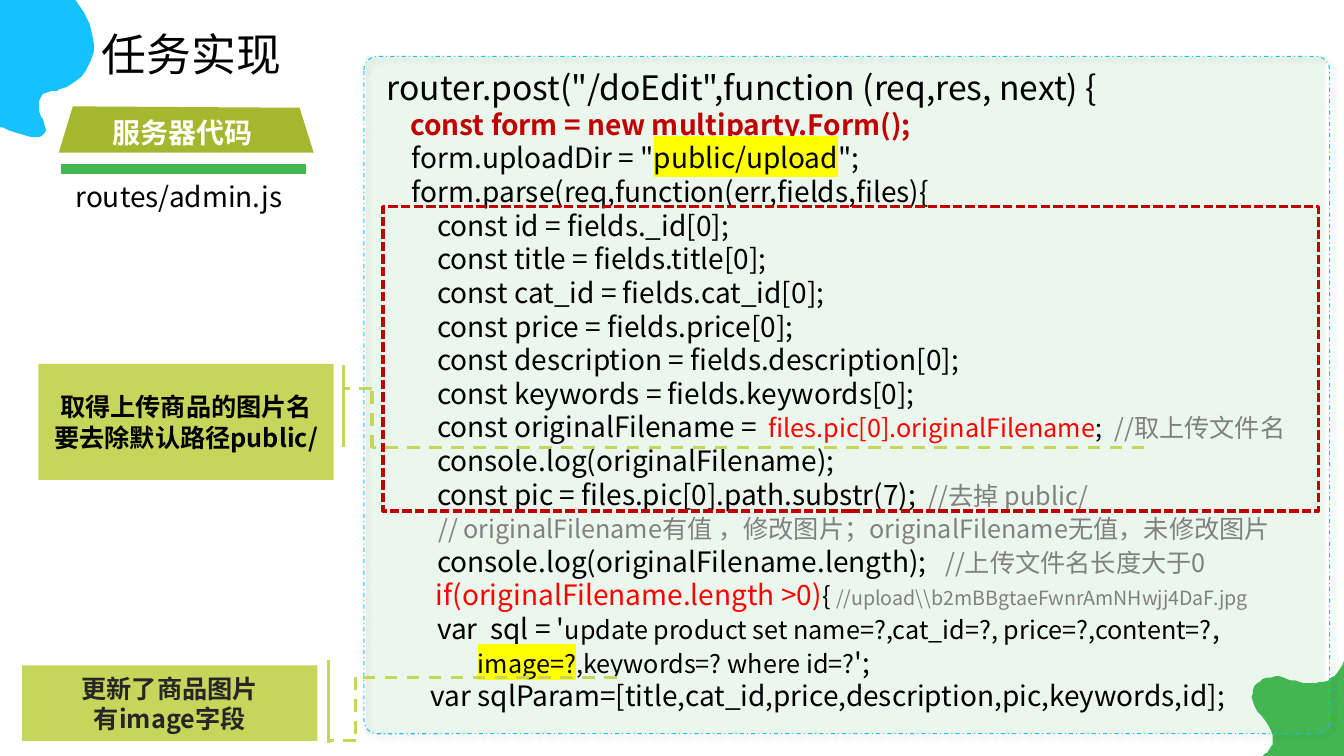
from dataclasses import dataclass

from lxml import etree
from pptx import Presentation
from pptx.dml.color import RGBColor
from pptx.enum.dml import MSO_LINE
from pptx.enum.shapes import MSO_CONNECTOR, MSO_SHAPE
from pptx.enum.text import MSO_ANCHOR, MSO_AUTO_SIZE, PP_ALIGN
from pptx.oxml.ns import qn
from pptx.util import Pt

RECT, ROUND = MSO_SHAPE.RECTANGLE, MSO_SHAPE.ROUNDED_RECTANGLE
STRAIGHT = MSO_CONNECTOR.STRAIGHT
DASH, SQUARE_DASH, DASH_DOT = MSO_LINE.DASH, MSO_LINE.SQUARE_DOT, MSO_LINE.DASH_DOT
LEFT, CENTER = PP_ALIGN.LEFT, PP_ALIGN.CENTER
TOP, MIDDLE = MSO_ANCHOR.TOP, MSO_ANCHOR.MIDDLE
GROW, FIXED = MSO_AUTO_SIZE.SHAPE_TO_FIT_TEXT, MSO_AUTO_SIZE.NONE

FONT = "Noto Sans CJK SC"
BLACK = RGBColor(0x00, 0x00, 0x00)
WHITE = RGBColor(0xFF, 0xFF, 0xFF)
CHARCOAL = RGBColor(0x26, 0x26, 0x26)
GRAY = RGBColor(0x80, 0x80, 0x80)
RED = RGBColor(0xFF, 0x00, 0x00)
DARK_RED = RGBColor(0xC0, 0x00, 0x00)
YELLOW = RGBColor(0xFF, 0xFF, 0x00)
BLUE = RGBColor(0x15, 0xC2, 0xFF)
GREEN = RGBColor(0x43, 0xB6, 0x51)
OLIVE = RGBColor(0xA5, 0xB7, 0x2E)
LIME = RGBColor(0xC6, 0xD6, 0x5B)

Point = tuple[float, float]
Box = tuple[float, float, float, float]


@dataclass
class Run:
    text: str
    size: float = 20
    color: RGBColor = BLACK
    bold: bool = False
    mark: RGBColor | None = None


@dataclass
class Callout:
    box: Box
    lines: list[str]
    color: RGBColor
    leader: list[Point]
    bar: tuple[Point, Point]


def note(text: str, size: float = 18) -> Run:
    return Run(text, size, GRAY)


INDENT = " " * 8
FIELDS = [("id", "_id")] + [(f, f) for f in
                            ("title", "cat_id", "price", "description", "keywords")]
CODE = [
    [Run('router.post("/doEdit",function (req,res, next) {', 24)],
    [Run("   ", 18), Run(" const form = new multiparty.Form();", 20, DARK_RED, True)],
    [Run('    form.uploadDir = "'), Run("public/upload", mark=YELLOW), Run('";')],
    [Run("    form.parse(req,function(err,fields,files){")],
    *[[Run(f"{INDENT}const {name} = fields.{field}[0];")] for name, field in FIELDS],
    [Run(INDENT + "const originalFilename ="), Run("  ", 18),
     Run("files.pic[0].originalFilename", 18, RED), Run(";", 18), Run(" "),
     note(" //取上传文件名")],
    [Run(INDENT + "console.log(originalFilename);")],
    [Run(INDENT + "const pic = files.pic[0].path.substr(7);  "), note("//去掉 public/")],
    [note("      "), Run(" "),
     note("  // originalFilename有值 ，修改图片；originalFilename无值，未修改图片")],
    [Run(INDENT + "console.log(originalFilename.length);  "), note(" //上传文件名长度大于0")],
    [Run("    "), Run("  ", 18), Run(" "), Run(" if(originalFilename.length >0)", color=RED),
     Run("{ ", 18), note("//upload\\\\b2mBBgtaeFwnrAmNHwjj4DaF.jpg", 14)],
    [Run(INDENT + "var  sql = '"),
     Run("update product set name=?,cat_id=?, price=?,content=?", 18), Run(",")],
    [Run("          "), Run("     ", 18), Run("image=?", 18, mark=YELLOW),
     Run(",keywords=? where id=?", 18), Run("';")],
    [Run("       var sqlParam=[title,cat_id,price,description,pic,keywords,id];")],
]

CALLOUTS = [
    Callout((15.8, 475.2, 211, 54), ["更新了商品图片", "有image字段"], CHARCOAL,
            [(440.6, 483.8), (254.2, 483.8), (254.2, 529.2), (234.7, 529.2)],
            ((234.7, 530.6), (234.7, 471.6))),
    Callout((27.4, 259.9, 211, 82.8), ["取得上传商品的图片名", "要去除默认路径public/"], BLACK,
            [(817.2, 319.7), (265.7, 319.7), (265.7, 277.2), (245.5, 277.2)],
            ((245.5, 260.6), (245.5, 319))),
]

BLUE_BLOB = [(0, 90.7), [(0, 90.7), (41, 109.4), (31, 86.4)],
             [(31, 86.4), (18.7, 65.5), (40.3, 64.8)],
             [(40.3, 64.8), (90, 50.4), (54, 0)], (0, 0)]
GREEN_BLOB = [(901.4, 540), [(901.4, 540), (918.7, 532.1), (901.4, 511.2)],
              [(883.4, 491), (904.3, 479.5), (919.4, 484.6)],
              [(934.6, 490.3), (954, 490.3), (960, 472.3)], (960, 540)]
BANNER = [(51.8, 75.6), (213.8, 77), (223.9, 108.7), (42.5, 108.7)]


def paint(sp, fill: RGBColor | None, line: RGBColor | None = None,
          width: float = 1, dash=None) -> None:
    sp.shadow.inherit = False
    if fill is None:
        sp.fill.background()
    else:
        sp.fill.solid()
        sp.fill.fore_color.rgb = fill
    if line is None:
        sp.line.fill.background()
    else:
        sp.line.color.rgb = line
        sp.line.width = Pt(width)
        if dash is not None:
            sp.line.dash_style = dash


def add_box(s, kind, box: Box, fill: RGBColor | None = None, **line):
    sp = s.shapes.add_shape(kind, *map(Pt, box))
    paint(sp, fill, **line)
    return sp


def add_outline(s, outline: list, fill: RGBColor, steps: int = 16) -> None:
    points = outline[:1]
    for part in outline[1:]:
        if isinstance(part, tuple):
            points.append(part)
            continue
        ctrl = [points[-1], *part]
        for t in (i / steps for i in range(1, steps + 1)):
            weights = ((1 - t) ** 3, 3 * t * (1 - t) ** 2, 3 * t * t * (1 - t), t ** 3)
            points.append(tuple(sum(w * c[axis] for w, c in zip(weights, ctrl))
                                for axis in (0, 1)))
    builder = s.shapes.build_freeform(*points[0], scale=Pt(1))
    builder.add_line_segments(points[1:], close=True)
    paint(builder.convert_to_shape(), fill)


def add_line(s, start: Point, end: Point, dash=None) -> None:
    cn = s.shapes.add_connector(STRAIGHT, *map(Pt, start + end))
    cn.line.color.rgb = LIME
    cn.line.width = Pt(2.25)
    if dash is not None:
        cn.line.dash_style = dash
    etree.SubElement(cn._element.spPr, qn("a:effectLst"))


def set_text(sp, lines: list[list[Run]], *, align=LEFT, anchor=TOP,
             wrap: bool = True, fit=FIXED) -> None:
    tf = sp.text_frame
    tf.word_wrap, tf.auto_size, tf.vertical_anchor = wrap, fit, anchor
    for i, runs in enumerate(lines):
        p = tf.paragraphs[0] if i == 0 else tf.add_paragraph()
        p.alignment = align
        for run in runs:
            r = p.add_run()
            r.text = run.text
            r.font.size, r.font.bold, r.font.name = Pt(run.size), run.bold, FONT
            r.font.color.rgb = run.color
            rpr = r.font._element
            latin = rpr.find(qn("a:latin"))
            if run.mark is not None:
                mark = etree.Element(qn("a:highlight"))
                etree.SubElement(mark, qn("a:srgbClr"), val=str(run.mark))
                latin.addprevious(mark)
            ea = etree.Element(qn("a:ea"), typeface=FONT)
            latin.addnext(ea)


def add_label(s, box: Box, run: Run, wrap: bool = False) -> None:
    set_text(s.shapes.add_textbox(*map(Pt, box)), [[run]], wrap=wrap, fit=GROW)


def add_callout(s, c: Callout) -> None:
    sp = add_box(s, RECT, c.box, LIME)
    set_text(sp, [[Run(t, 18, c.color, True)] for t in c.lines], align=CENTER, anchor=MIDDLE)
    for start, end in zip(c.leader, c.leader[1:]):
        add_line(s, start, end, DASH)
    add_line(s, *c.bar)


def add_code_panel(s) -> None:
    tint = add_box(s, RECT, (261.4, 40.3, 685.4, 483.8), GREEN)
    color = tint._element.spPr.find(qn("a:solidFill"))[0]
    etree.SubElement(color, qn("a:alpha"), val="10000")
    border = add_box(s, ROUND, (259.9, 40.3, 689.8, 483.8), line=BLUE, width=0.75, dash=DASH_DOT)
    border.adjustments[0] = 0.02
    effects = border._element.spPr.find(qn("a:effectLst"))
    shadow = etree.SubElement(effects, qn("a:outerShdw"), blurRad=str(Pt(4)), dist=str(Pt(3)),
                              dir="2700000", algn="tl", rotWithShape="0")
    black = etree.SubElement(shadow, qn("a:srgbClr"), val=str(BLACK))
    etree.SubElement(black, qn("a:alpha"), val="40000")
    set_text(s.shapes.add_textbox(*map(Pt, (269.3, 44.3, 684, 411))), CODE)
    add_box(s, RECT, (273.6, 147.6, 668.2, 217.4), line=DARK_RED, width=2.25, dash=SQUARE_DASH)


def main() -> None:
    prs = Presentation()
    prs.slide_width, prs.slide_height = Pt(960), Pt(540)
    s = prs.slides.add_slide(prs.slide_layouts[6])
    add_outline(s, BLUE_BLOB, BLUE)
    add_outline(s, GREEN_BLOB, GREEN)
    add_code_panel(s)
    update_callout, filename_callout = CALLOUTS
    add_callout(s, update_callout)
    add_label(s, (65.5, 15.8, 142.6, 46.1), Run("任务实现", 32))
    add_label(s, (46.8, 124.6, 164.9, 31.7), Run("routes/admin.js"), wrap=True)
    add_box(s, RECT, (43.9, 117.4, 174.2, 6.5), GREEN, line=GREEN)
    add_outline(s, BANNER, OLIVE)
    add_label(s, (73.4, 79.2, 114.5, 31.7), Run("服务器代码", 20, WHITE, True))
    add_callout(s, filename_callout)
    prs.save("out.pptx")


if __name__ == "__main__":
    main()
